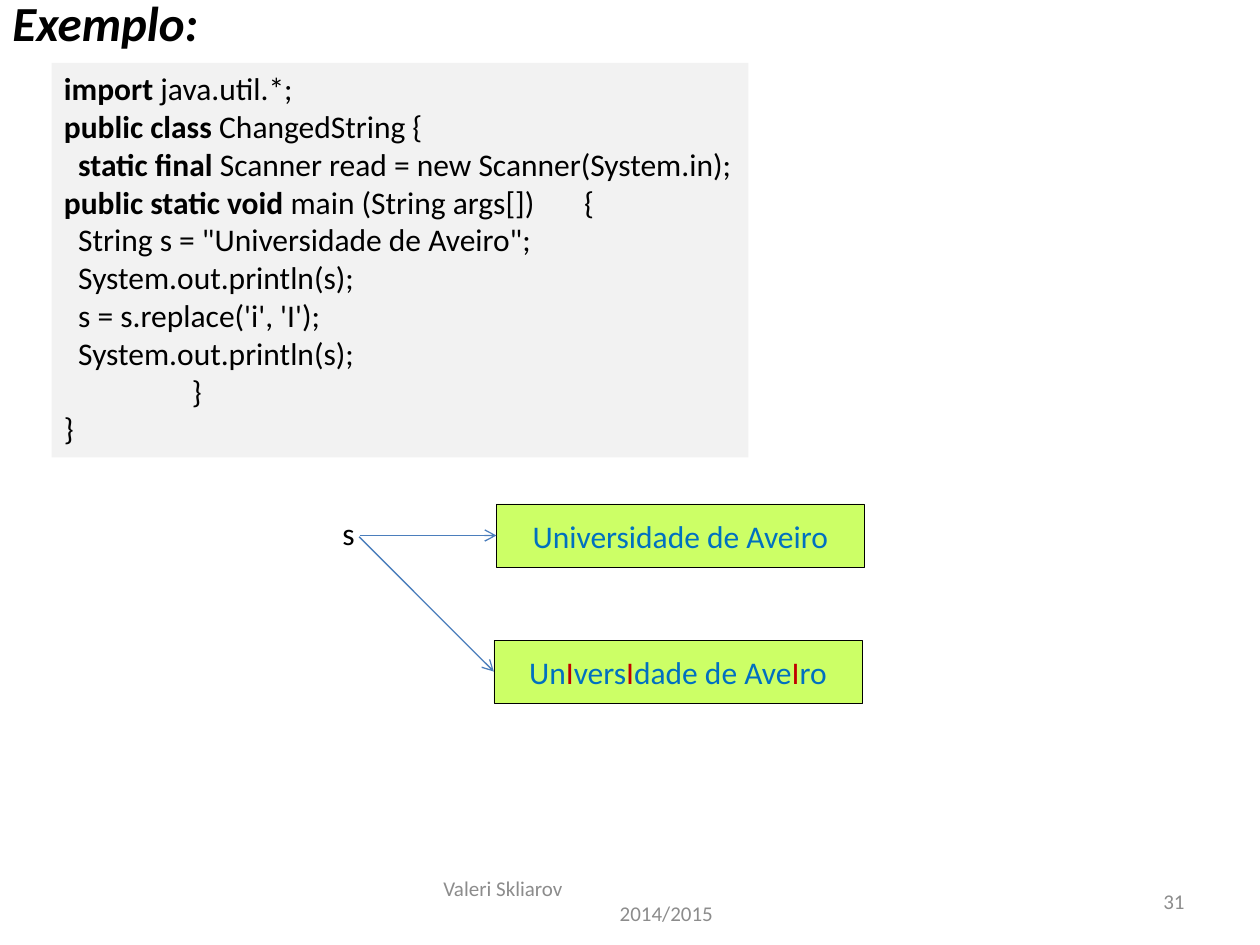
from pptx import Presentation
from pptx.dml.color import RGBColor
from pptx.enum import shapes, text
from pptx.oxml.ns import qn
from pptx.util import Inches, Pt
from lxml import etree

HUES = {"black": "000000", "gray": "8C8C8C", "panel": "F2F2F2", "lime": "CCFF66",
        "blue": "0070C0", "red": "C00000", "arrow": "4B7EBC"}
LEFT, MID, RIGHT = text.PP_ALIGN.LEFT, text.PP_ALIGN.CENTER, text.PP_ALIGN.RIGHT

# Each line of code is a list of pieces; every second piece is bold.
CODE = [
    ["", "import ", "java.util.*;"],
    ["", "public class ", "ChangedString {"],
    ["  ", "static final", " Scanner read = new Scanner(System.in);"],
    ["", "public static void", " main (String args[])       {"],
    ["  String s = \"Universidade de Aveiro\";"],
    ["  System.out.println(s);"],
    ["  s = s.replace('i', 'I');"],
    ["  System.out.println(s);"],
    ["                  }"],
    ["}"],
]


def color(name):
    return RGBColor.from_string(HUES[name])


def add_run(para, words, size, hue, bold=False, italic=False):
    run = para.add_run()
    run.text = words
    font = run.font
    font.name, font.size = "Calibri", Pt(size)
    font.bold, font.italic = bold, italic
    font.color.rgb = color(hue)


def add_lines(shape, lines, align=LEFT, wrap=True, middle=False):
    """Fill a shape with lines, each a list of add_run arguments."""
    frame = shape.text_frame
    frame.word_wrap = wrap
    frame.vertical_anchor = text.MSO_ANCHOR.MIDDLE if middle else text.MSO_ANCHOR.TOP
    for i, line in enumerate(lines):
        para = frame.add_paragraph() if i else frame.paragraphs[0]
        para.alignment = align
        for args in line:
            add_run(para, *args)
    return frame


def add_label(slide, area, lines, **look):
    box = slide.shapes.add_textbox(*map(Inches, area))
    return add_lines(box, lines, **look)


def add_box(slide, area, fill, lines, edge=None, **look):
    box = slide.shapes.add_shape(shapes.MSO_SHAPE.RECTANGLE, *map(Inches, area))
    box.shadow.inherit = False
    box.fill.solid()
    box.fill.fore_color.rgb = color(fill)
    if edge:
        box.line.color.rgb = color(edge)
        box.line.width = Pt(0.25)
    else:
        box.line.fill.background()
    add_lines(box, lines, **look)


def add_arrow(slide, start, end):
    line = slide.shapes.add_connector(
        shapes.MSO_CONNECTOR.STRAIGHT, *map(Inches, start + end))
    line.line.color.rgb = color("arrow")
    line.line.width = Pt(0.75)
    etree.SubElement(line.line._get_or_add_ln(), qn("a:tailEnd"), type="arrow")
    etree.SubElement(line._element.spPr, qn("a:effectLst"))


def add_value(slide, left, top, pieces):
    """Box holding a string value; every second piece is a changed letter."""
    runs = [(piece, 18, ("blue", "red")[i % 2]) for i, piece in enumerate(pieces)]
    add_box(slide, (left, top, 2.92, 0.5), "lime", [runs],
            edge="black", align=MID, middle=True)


def add_code(slide):
    lines = [[(piece, 18, "black", i % 2 == 1) for i, piece in enumerate(line) if piece]
             for line in CODE]
    add_box(slide, (0.41, 0.5, 5.53, 3.13), "panel", lines, wrap=False)


def add_footer(slide):
    lines = [[("Valeri Skliarov", 12, "gray")], [("2014/2015", 12, "gray")]]
    frame = add_label(slide, (3.42, 6.95, 3.17, 0.4), lines, middle=True)
    frame.paragraphs[1]._p.get_or_add_pPr().set("marL", str(Inches(1.4)))
    add_label(slide, (7.17, 6.95, 2.33, 0.4), [[("31", 12, "gray")]],
              align=RIGHT, middle=True)


def main():
    deck = Presentation()
    deck.slide_width, deck.slide_height = Inches(10), Inches(7.5)
    slide = deck.slides.add_slide(deck.slide_layouts[6])
    add_footer(slide)
    add_code(slide)
    add_value(slide, 3.94, 4, ["Universidade de Aveiro"])
    add_arrow(slide, (2.86, 4.25), (3.94, 4.25))
    add_label(slide, (2.62, 4.03, 0.3, 0.4), [[("s", 18, "black")]], wrap=False)
    add_value(slide, 3.92, 5.08, ["Un", "I", "vers", "I", "dade de Ave", "I", "ro"])
    add_arrow(slide, (2.85, 4.26), (3.92, 5.33))
    add_label(slide, (0, -0.11, 1.69, 0.57),
              [[("Exemplo:", 28, "black", True, True)]], wrap=False)
    deck.save("out.pptx")


if __name__ == "__main__":
    main()
